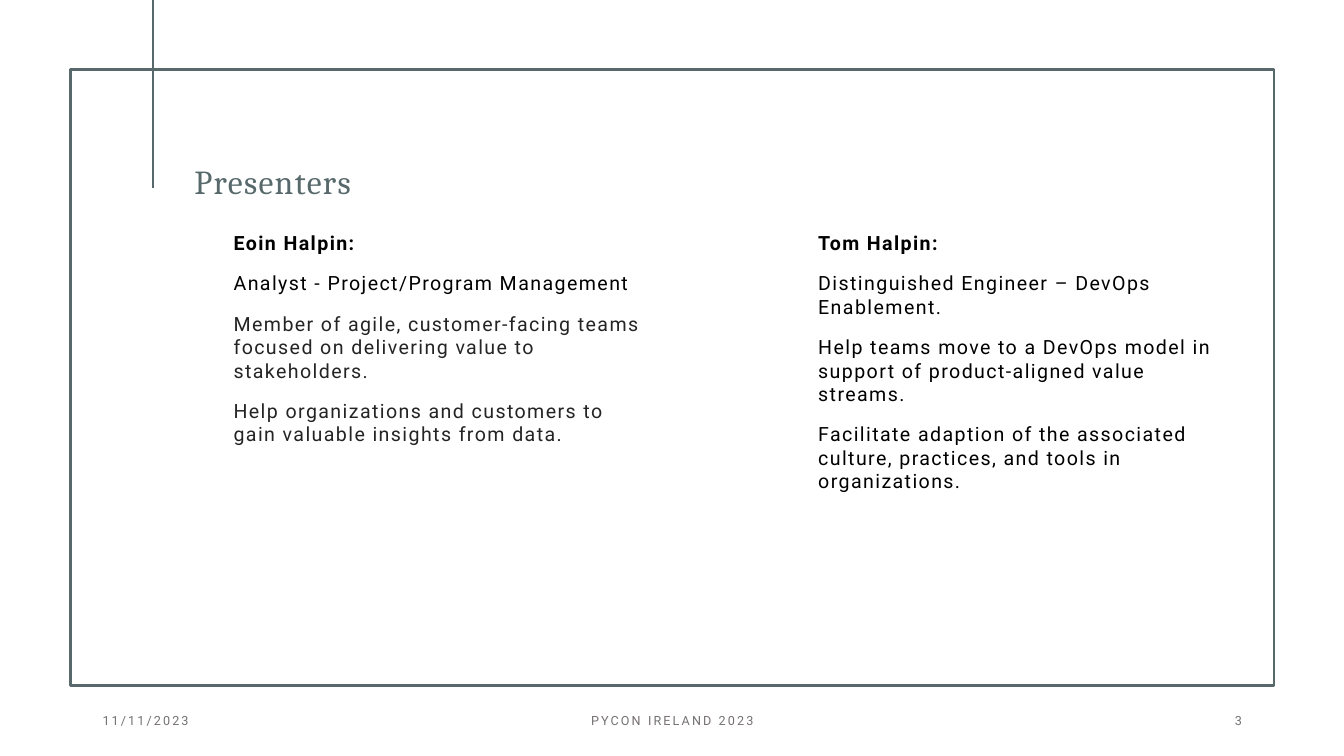
from lxml.etree import SubElement
from pptx import Presentation
from pptx.dml.color import RGBColor
from pptx.enum.shapes import MSO_CONNECTOR, MSO_SHAPE
from pptx.enum.text import MSO_ANCHOR, PP_ALIGN
from pptx.oxml.ns import qn
from pptx.util import Pt

SLATE = RGBColor(0x58, 0x69, 0x6B)
BLACK = RGBColor(0x00, 0x00, 0x00)
DARK = RGBColor(0x24, 0x24, 0x24)
GRAY = RGBColor(0x76, 0x71, 0x71)

deck = Presentation()
deck.slide_width, deck.slide_height = Pt(960), Pt(540)
slide = deck.slides.add_slide(deck.slide_layouts[6])


def add_box(left, top, width, height, anchor):
    box = slide.shapes.add_textbox(Pt(left), Pt(top), Pt(width), Pt(height))
    frame = box.text_frame
    frame.word_wrap = True
    frame.vertical_anchor = anchor
    return frame


def add_run(para, text, size, color, face="Roboto", space=1, bold=False):
    run = para.add_run()
    run.text = text
    font = run.font
    font.name, font.size, font.bold = face, Pt(size), bold
    font.color.rgb = color
    run._r.get_or_add_rPr().set("spc", str(int(space * 100)))


frame = slide.shapes.add_shape(
    MSO_SHAPE.RECTANGLE, Pt(50.4), Pt(49.7), Pt(859.7), Pt(440))
frame.shadow.inherit = False
frame.fill.background()

rule = slide.shapes.add_connector(
    MSO_CONNECTOR.STRAIGHT, Pt(109.4), Pt(0), Pt(109.4), Pt(134.6))
SubElement(rule._element.spPr, qn("a:effectLst"))

for shape in (frame, rule):
    shape.line.color.rgb = SLATE
    shape.line.width = Pt(1.5)

title = add_box(131.8, 111.6, 421.9, 38.9, MSO_ANCHOR.MIDDLE).paragraphs[0]
title.line_spacing = 0.9
add_run(title, "Presenters", 24, SLATE, face="Cambria")

people = [
    (159.8, [
        ("Eoin Halpin:", BLACK),
        ("Analyst - Project/Program Management", BLACK),
        ("Member of agile, customer-facing teams focused on delivering "
         "value to stakeholders.", DARK),
        ("Help organizations and customers to gain valuable insights "
         "from data.", DARK),
    ]),
    (577.4, [
        ("Tom Halpin:", BLACK),
        ("Distinguished Engineer – DevOps Enablement.", BLACK),
        ("Help teams move to a DevOps model in support of "
         "product-aligned value streams.", BLACK),
        ("Facilitate adaption of the associated culture, practices, "
         "and tools in organizations.", BLACK),
    ]),
]
for left, lines in people:
    body = add_box(left, 161.3, 306.7, 288.7, MSO_ANCHOR.TOP)
    for row, (text, color) in enumerate(lines):
        para = body.add_paragraph() if row else body.paragraphs[0]
        para.space_after = Pt(12)
        add_run(para, text, 14, color, bold=row == 0)

footer = [
    (66.2, 216, "11/11/2023", PP_ALIGN.LEFT),
    (318.2, 324, "PYCON IRELAND 2023", PP_ALIGN.CENTER),
    (678.2, 216, "3", PP_ALIGN.RIGHT),
]
for left, width, text, align in footer:
    para = add_box(left, 500.4, width, 28.8, MSO_ANCHOR.MIDDLE).paragraphs[0]
    para.alignment = align
    add_run(para, text, 9, GRAY, space=1.5)

deck.save("out.pptx")
